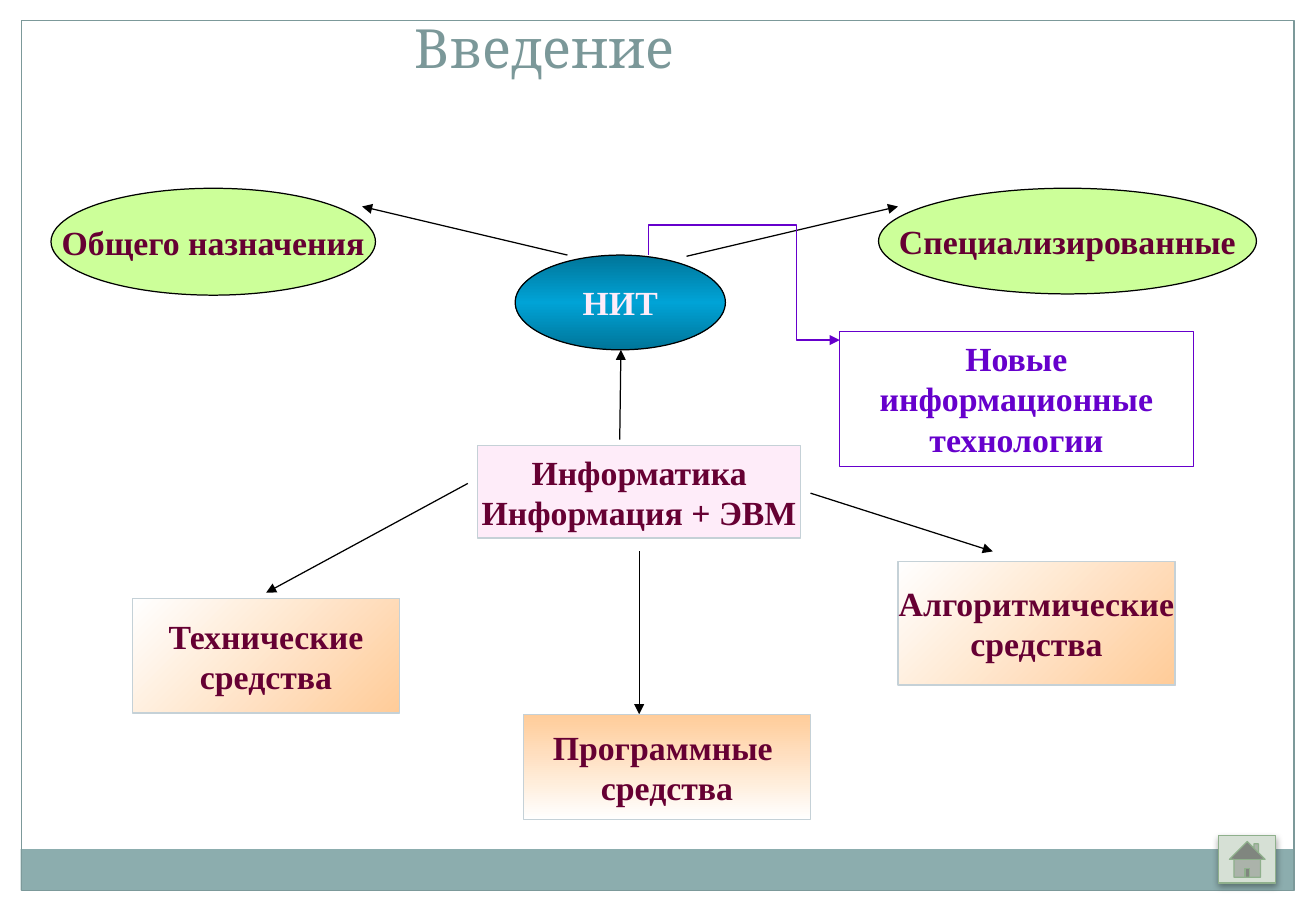
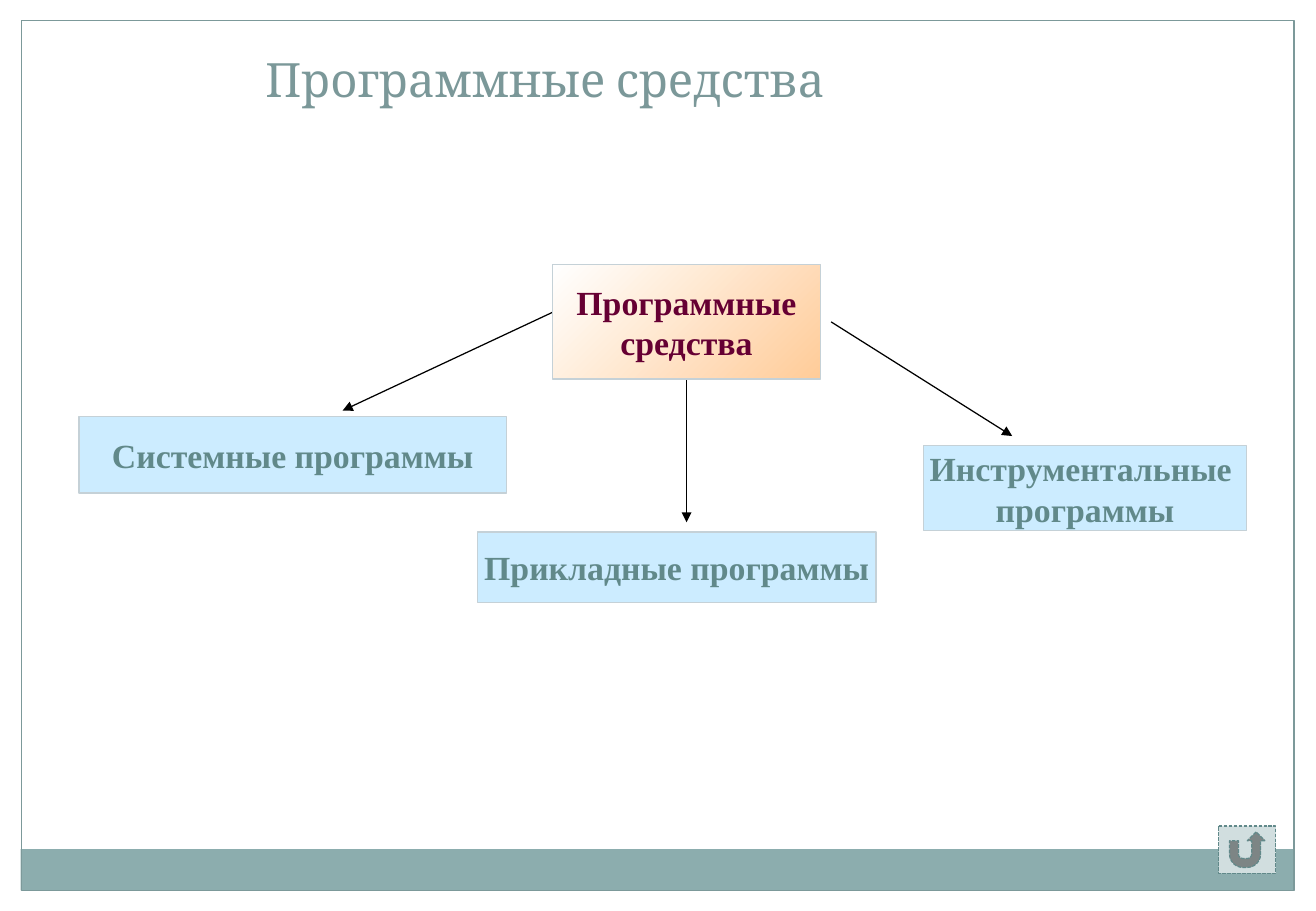
from lxml.etree import SubElement as Sub
from pptx import Presentation as Deck
from pptx.dml.color import RGBColor as Rgb
from pptx.enum.dml import MSO_LINE as Dash
from pptx.enum.shapes import MSO_CONNECTOR as Link, MSO_SHAPE as Kind
from pptx.enum.text import MSO_ANCHOR as Anchor, MSO_AUTO_SIZE as Fit, PP_ALIGN as Align
from pptx.oxml.ns import qn
from pptx.util import Inches, Pt

HUES = {
    "band": "8CADAE", "frame": "7C999A", "title": "7B9899", "edge": "C5D1D7",
    "black": "000000", "white": "FFFFFF", "wine": "660033", "pink": "FEECF9",
    "lime": "CCFF99", "peach": "FFCC99", "deep": "007599", "blue": "00A3D6",
    "violet": "6600CC", "sky": "CCECFF", "teal": "61898A", "mist": "D1DEDF",
    "sage": "D6E0D5", "moss": "8FB08C",
}
SLANT = (45, "white", "peach")
FALL = (90, "peach", "white")
GLOSS = (90, "deep", "blue", "deep")


class Page:
    def __init__(self, deck):
        self.deck = deck

    def start(self, title, top, high, size):
        self.slide = self.deck.slides.add_slide(self.deck.slide_layouts[6])
        self.shape((0.17, 6.99, 10.47, 0.34), fill="band", line=None)
        self.shape((0.18, 0.17, 10.47, 7.16), line="frame")
        box = self.slide.shapes.add_textbox(*map(Inches, (0, top, 8.97, high)))
        self.label(box, [title], "title", size, "Cambria", False)
        box.text_frame.word_wrap = True
        box.text_frame.vertical_anchor = Anchor.BOTTOM

    def blend(self, shape, angle, *names):
        shape.fill.gradient()
        shape.fill.gradient_angle = 360 - angle
        stops = shape.element.spPr.find(qn("a:gradFill")).find(qn("a:gsLst"))
        for stop in list(stops):
            stops.remove(stop)
        for i, name in enumerate(names):
            stop = Sub(stops, qn("a:gs"), pos=str(100000 * i // (len(names) - 1)))
            Sub(stop, qn("a:srgbClr"), val=HUES[name])

    def stroke(self, shape, name):
        shape.line.color.rgb = Rgb.from_string(HUES[name])
        shape.line.width = Pt(0.75)

    def shape(self, at, kind=Kind.RECTANGLE, fill=None, line="edge"):
        shape = self.slide.shapes.add_shape(kind, *map(Inches, at))
        shape.shadow.inherit = False
        if fill is None:
            shape.fill.background()
        elif isinstance(fill, tuple):
            self.blend(shape, *fill)
        else:
            shape.fill.solid()
            shape.fill.fore_color.rgb = Rgb.from_string(HUES[fill])
        if line:
            self.stroke(shape, line)
        else:
            shape.line.fill.background()
        return shape

    def label(self, shape, lines, hue, size=20, font="Times New Roman", bold=True):
        frame = shape.text_frame
        for i, line in enumerate(lines):
            para = frame.add_paragraph() if i else frame.paragraphs[0]
            para.alignment = Align.CENTER
            run = para.add_run()
            run.text = line
            run.font.name = font
            run.font.size = Pt(size)
            run.font.bold = bold
            run.font.color.rgb = Rgb.from_string(HUES[hue])

    def node(self, at, lines, fill, hue="wine", **look):
        shape = self.shape(at, fill=fill, **look)
        self.label(shape, lines, hue)
        shape.text_frame.word_wrap = False
        shape.text_frame.vertical_anchor = Anchor.MIDDLE

    def oval(self, at, text, fill, hue="wine"):
        self.node(at, [text], fill, hue, kind=Kind.OVAL, line="black")

    def note(self, at, text, hue):
        shape = self.shape(at, line=hue)
        self.label(shape, [text], hue)
        frame = shape.text_frame
        frame.word_wrap = True
        frame.vertical_anchor = Anchor.TOP
        frame.auto_size = Fit.SHAPE_TO_FIT_TEXT

    def arrow(self, start, end, hue="black", kind=Link.STRAIGHT):
        line = self.slide.shapes.add_connector(kind, *map(Inches, start + end))
        self.stroke(line, hue)
        props = line.element.spPr
        Sub(props.find(qn("a:ln")), qn("a:tailEnd"), type="triangle")
        Sub(props, qn("a:effectLst"))
        return line

    def bend(self, start, end, hue, *turns):
        line = self.arrow(start, end, hue, Link.ELBOW)
        wide, high = line.width, line.height
        line.left += (wide - high) // 2
        line.top += (high - wide) // 2
        line.width, line.height = high, wide
        form = line.element.spPr.find(qn("a:xfrm"))
        form.set("rot", "5400000")
        form.set("flipV", "1")
        geom = line.element.spPr.find(qn("a:prstGeom"))
        geom.set("prst", "bentConnector4")
        guides = geom.find(qn("a:avLst"))
        if guides is None:
            guides = Sub(geom, qn("a:avLst"))
        for i, turn in enumerate(turns, 1):
            Sub(guides, qn("a:gd"), name=f"adj{i}", fmla=f"val {turn}")

    def button(self, top, kind, fill, line):
        return self.shape((10.03, top, 0.47, 0.39), kind, fill, line)

    def shade(self, shape):
        fx = shape.element.spPr.find(qn("a:effectLst"))
        glow = Sub(fx, qn("a:outerShdw"), blurRad=str(Pt(4)), dist=str(Pt(2)),
                   dir="5400000", rotWithShape="0")
        hue = Sub(glow, qn("a:srgbClr"), val=HUES["black"])
        Sub(hue, qn("a:alpha"), val="35000")


def intro(page):
    page.start("Введение", 0.26, 0.44, 32)
    page.shade(page.button(6.88, Kind.ACTION_BUTTON_HOME, "sage", "moss"))
    page.node((3.93, 3.67, 2.66, 0.76), ["Информатика", "Информация + ЭВМ"], "pink")
    page.oval((4.24, 2.1, 1.73, 0.78), "НИТ", GLOSS, "pink")
    page.oval((0.42, 1.55, 2.67, 0.88), "Общего назначения", "lime")
    page.oval((7.23, 1.55, 3.11, 0.87), "Специализированные", "lime")
    for start, end in [
        ((5.1, 3.62), (5.11, 2.88)),
        ((5.65, 2.11), (7.39, 1.7)),
        ((4.67, 2.1), (2.98, 1.7)),
        ((6.67, 4.06), (8.17, 4.54)),
        ((3.85, 3.98), (2.19, 4.88)),
        ((5.26, 4.54), (5.26, 5.88)),
    ]:
        page.arrow(start, end)
    for at, word, fill in [
        ((1.09, 4.93, 2.2, 0.94), "Технические", SLANT),
        ((4.31, 5.88, 2.36, 0.87), "Программные ", FALL),
        ((7.39, 4.62, 2.28, 1.02), "Алгоритмические", SLANT),
    ]:
        page.node(at, [word, "средства"], fill)
    page.bend((5.34, 2.1), (6.91, 2.8), "violet", -35400, 77500)
    page.note((6.91, 2.73, 2.91, 1.11), "Новые информационные технологии", "violet")


def tools(page):
    page.start("Программные средства", 0.3, 0.63, 28)
    for start, end in [
        ((4.55, 2.57), (2.82, 3.38)),
        ((5.65, 3.12), (5.65, 4.3)),
        ((6.84, 2.65), (8.33, 3.59)),
    ]:
        page.arrow(start, end)
    page.node((4.55, 2.18, 2.2, 0.94), ["Программные", "средства"], SLANT)
    for at, lines in [
        ((0.65, 3.43, 3.52, 0.63), ["Системные программы"]),
        ((7.6, 3.67, 2.66, 0.7), ["Инструментальные ", "программы"]),
        ((3.93, 4.38, 3.28, 0.58), ["Прикладные программы"]),
    ]:
        page.node(at, lines, "sky", "teal")
    back = page.button(6.8, Kind.ACTION_BUTTON_RETURN, "mist", "teal")
    back.line.dash_style = Dash.SQUARE_DOT


def main():
    deck = Deck()
    deck.slide_width, deck.slide_height = Inches(10.83), Inches(7.5)
    page = Page(deck)
    intro(page)
    tools(page)
    deck.save("out.pptx")


if __name__ == "__main__":
    main()
